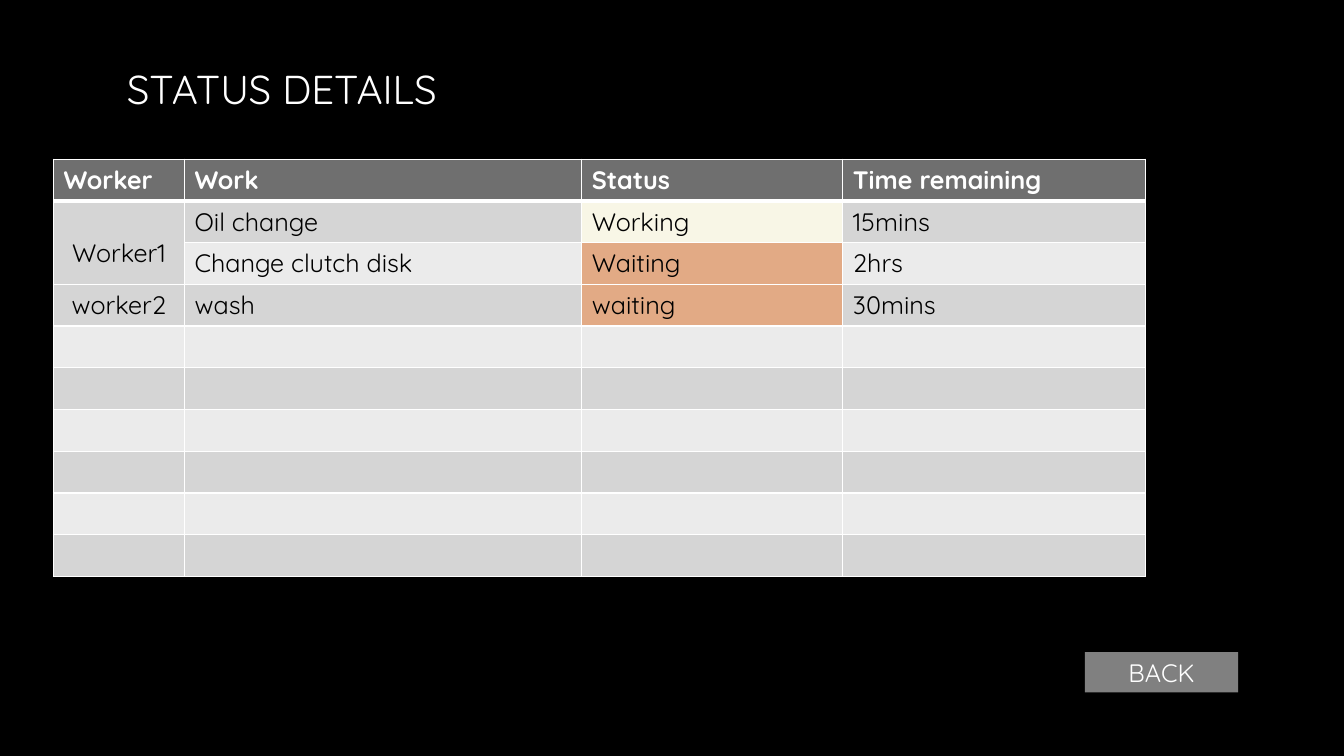
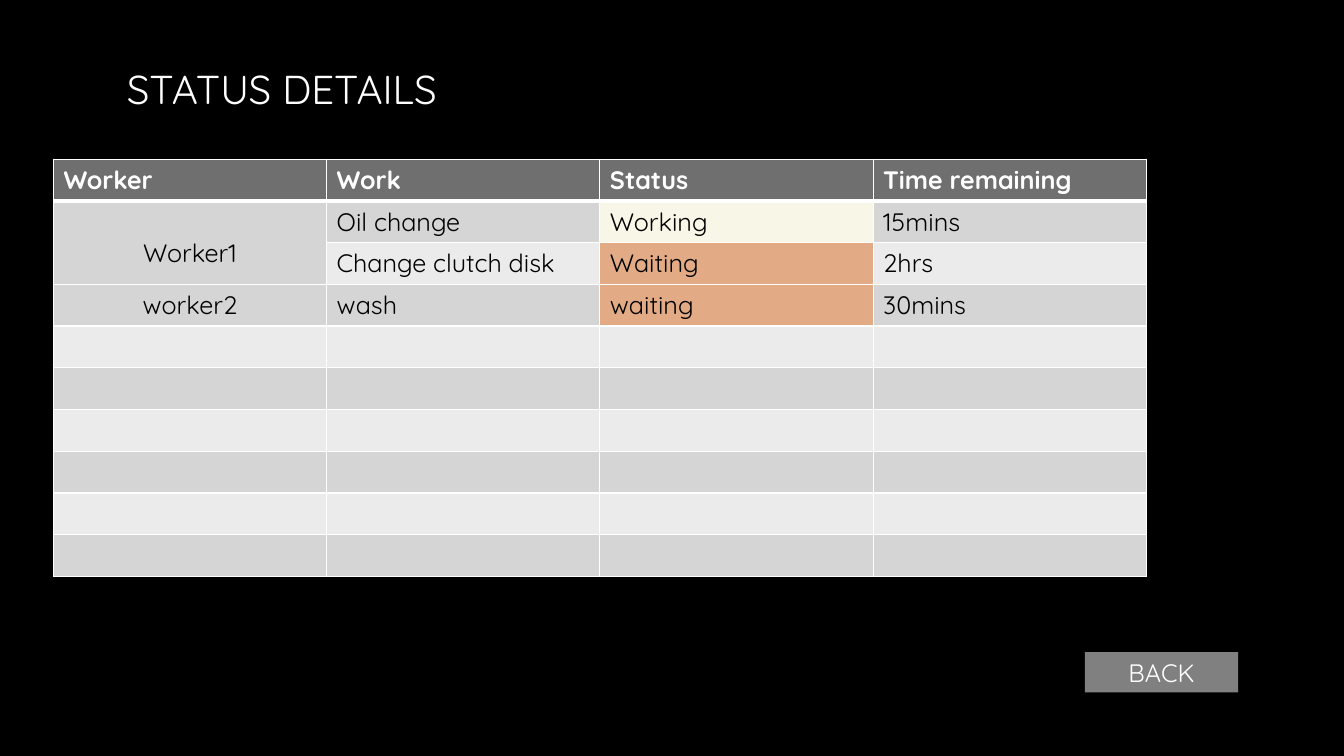
"""Build two status slides that share one title, table and button style."""
from lxml.etree import SubElement
from pptx import Presentation
from pptx.dml.color import RGBColor
from pptx.enum.shapes import MSO_SHAPE as Shape
from pptx.enum.text import MSO_ANCHOR as Anchor, PP_ALIGN as Align
from pptx.oxml.ns import qn
from pptx.util import Inches, Pt

BLACK = RGBColor(0x00, 0x00, 0x00)
WHITE = RGBColor(0xFF, 0xFF, 0xFF)
HEADER = RGBColor(0x6F, 0x6F, 0x6F)
BUTTON = RGBColor(0x80, 0x80, 0x80)
BANDS = (RGBColor(0xEB, 0xEB, 0xEB), RGBColor(0xD5, 0xD5, 0xD5))
STATUS_FILLS = {
    "working": RGBColor(0xF8, 0xF6, 0xE6),
    "waiting": RGBColor(0xE2, 0xAA, 0x85),
}

FONT = "Quicksand"
TITLE = {"name": FONT, "size": Pt(28.8)}
LABEL = {"name": FONT, "size": Pt(18)}
HEADING = {**LABEL, "bold": True}

ROW_COUNT = 10
ROWS = [
    ("Worker", "Work", "Status", "Time remaining"),
    ("Worker1", "Oil change", "Working", "15mins"),
    ("", "Change clutch disk", "Waiting", "2hrs"),
    ("worker2", "wash", "waiting", "30mins"),
]
COLUMN_WIDTHS = [(1.3, 3.94, 2.59, 3), (2.71,) * 4]


class StatusDeck:
    """Hold the shared style and the slide being built."""

    def __init__(self):
        self.deck = Presentation()
        self.deck.slide_width = Inches(13.33)
        self.deck.slide_height = Inches(7.5)
        self.slide = None

    def add_slide(self):
        self.slide = self.deck.slides.add_slide(self.deck.slide_layouts[6])
        fill = self.slide.background.fill
        fill.solid()
        fill.fore_color.rgb = BLACK

    def add_text(self, frame, text, style, color, align=Align.LEFT):
        para = frame.paragraphs[0]
        para.alignment = align
        span = para.add_run()
        span.text = text
        for name, value in style.items():
            setattr(span.font, name, value)
        span.font.color.rgb = color

    def add_title(self, text):
        box = self.slide.shapes.add_textbox(
            Inches(1.16), Inches(0.58), Inches(3.45), Inches(0.6))
        box.text_frame.word_wrap = True
        box.text_frame.vertical_anchor = Anchor.MIDDLE
        self.add_text(box.text_frame, text, TITLE, WHITE)

    def add_button(self, text):
        button = self.slide.shapes.add_shape(
            Shape.RECTANGLE, Inches(10.76), Inches(6.47), Inches(1.52), Inches(0.4))
        button.shadow.inherit = False
        button.fill.solid()
        button.fill.fore_color.rgb = BUTTON
        button.line.fill.background()
        self.add_text(button.text_frame, text, LABEL, WHITE, Align.CENTER)

    def add_borders(self, cell, row):
        widths = {"L": 1, "R": 1, "T": 3 if row == 1 else 1, "B": 3 if row == 0 else 1}
        properties = cell._tc.get_or_add_tcPr()
        for side, width in widths.items():
            line = SubElement(properties, qn(f"a:ln{side}"), w=str(Pt(width)))
            solid = SubElement(line, qn("a:solidFill"))
            SubElement(solid, qn("a:srgbClr"), val=str(WHITE))

    def add_table(self, rows, widths):
        table = self.slide.shapes.add_table(
            ROW_COUNT, len(widths), Inches(0.53), Inches(1.58),
            Inches(sum(widths)), Inches(4.14)).table
        table.first_row = table.horz_banding = False
        for column, width in zip(table.columns, widths):
            column.width = Inches(width)
        for row in range(ROW_COUNT):
            texts = rows[row] if row < len(rows) else ("",) * len(widths)
            for column, text in enumerate(texts):
                cell = table.cell(row, column)
                self.add_borders(cell, row)
                band = HEADER if row == 0 else BANDS[row % 2]
                cell.fill.solid()
                cell.fill.fore_color.rgb = STATUS_FILLS.get(text.lower(), band)
                if text:
                    self.add_text(cell.text_frame, text,
                                  HEADING if row == 0 else LABEL,
                                  WHITE if row == 0 else BLACK,
                                  Align.CENTER if row and column == 0 else Align.LEFT)
        worker = table.cell(1, 0)
        worker.merge(table.cell(2, 0))
        worker.margin_top = Inches(0.36)


def main():
    status = StatusDeck()
    for widths in COLUMN_WIDTHS:
        status.add_slide()
        status.add_title("STATUS DETAILS")
        status.add_table(ROWS, widths)
        status.add_button("BACK")
    status.deck.save("out.pptx")


if __name__ == "__main__":
    main()
